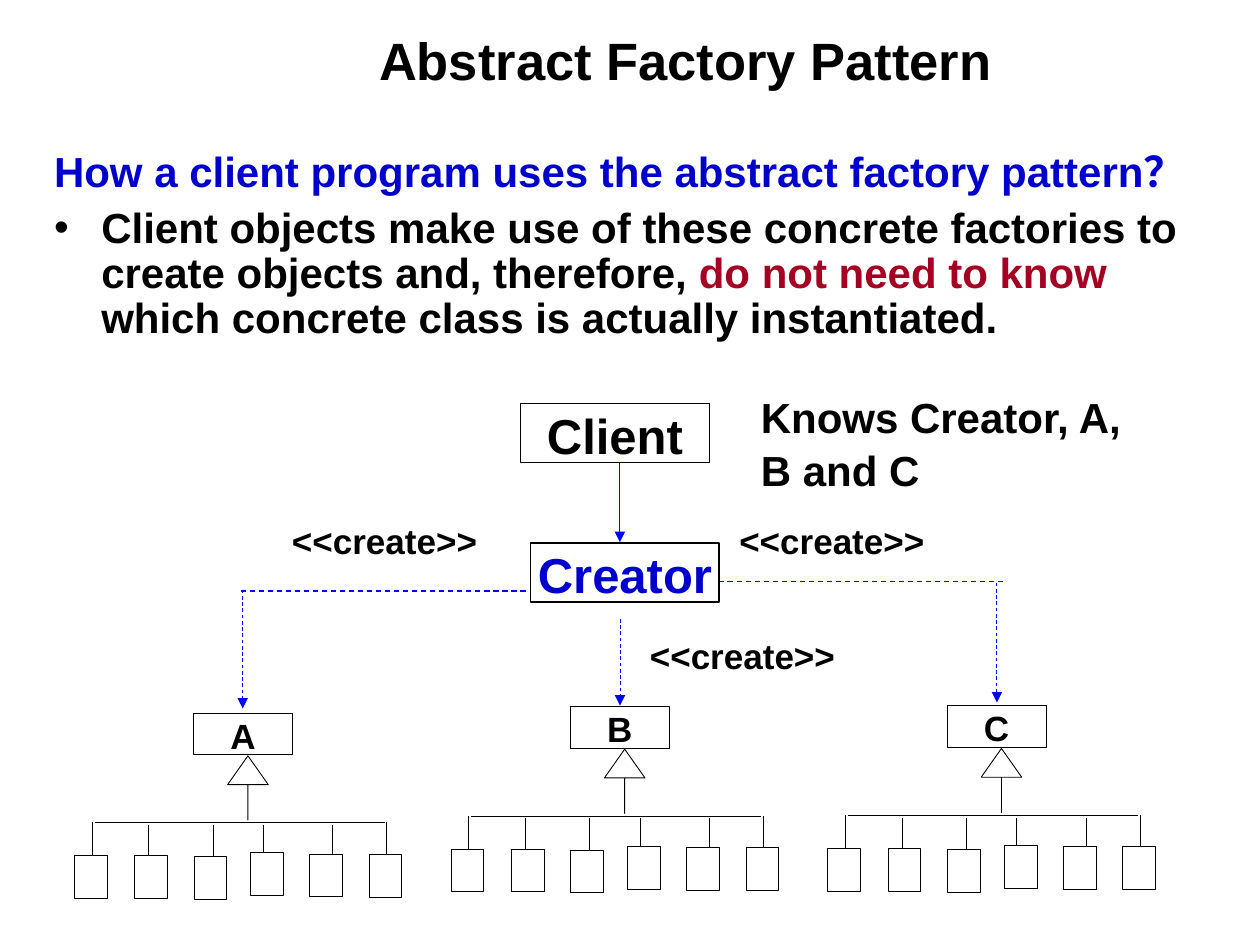
"""Build the Abstract Factory Pattern slide with its client, creator and product trees."""
from dataclasses import dataclass

from lxml import etree
from pptx import Presentation
from pptx import util as u
from pptx.dml.color import RGBColor
from pptx.enum import dml, shapes, text
from pptx.oxml.ns import qn


@dataclass(frozen=True)
class Theme:
    face: str = "Arial"
    black: str = "000000"
    white: str = "FFFFFF"
    blue: str = "0000CC"
    line: str = "0000FF"
    red: str = "A50021"
    title: int = 30
    name: int = 28
    body: int = 24
    label: int = 20


theme = Theme()
rgb = RGBColor.from_string
kind = shapes.MSO_SHAPE
left, mid = text.PP_ALIGN.LEFT, text.PP_ALIGN.CENTER

deck = Presentation()
deck.slide_width, deck.slide_height = u.Pt(720), u.Pt(540)
slide = deck.slides.add_slide(deck.slide_layouts[6])


def box(x, y, w, h, words="", size=theme.label, color=theme.black, line=0.5,
        form=kind.RECTANGLE, align=mid, inset=(0, 0), space=1.05):
    """Draw a white shape; each paragraph is a string or a list of coloured runs."""
    shape = slide.shapes.add_shape(form, u.Pt(x), u.Pt(y), u.Pt(w), u.Pt(h))
    shape.shadow.inherit = False
    shape.fill.solid()
    shape.fill.fore_color.rgb = rgb(theme.white)
    if line:
        shape.line.color.rgb = rgb(theme.black)
        shape.line.width = u.Pt(line)
    else:
        shape.line.fill.background()
    if words:
        frame = shape.text_frame
        frame.word_wrap = True
        frame.margin_left = frame.margin_right = u.Pt(inset[0])
        frame.margin_top = frame.margin_bottom = u.Pt(inset[1])
        frame.vertical_anchor = text.MSO_ANCHOR.MIDDLE if align == mid else text.MSO_ANCHOR.TOP
        frame.text = words
        for para in frame.paragraphs:
            para.alignment = align
            para.line_spacing = space
            for run in para.runs:
                run.font.name, run.font.size, run.font.bold = theme.face, u.Pt(size), True
                run.font.color.rgb = rgb(color)
    return shape


def link(x, y, x2, y2, color=theme.black, width=0.5, dash=False, head=False):
    """Draw a straight line, dashed or with an arrowhead on request."""
    wire = slide.shapes.add_connector(shapes.MSO_CONNECTOR.STRAIGHT,
                                      u.Pt(x), u.Pt(y), u.Pt(x2), u.Pt(y2))
    wire.line.color.rgb = rgb(color)
    wire.line.width = u.Pt(width)
    if dash:
        wire.line.dash_style = dml.MSO_LINE.DASH
    if head:
        etree.SubElement(wire.line._get_or_add_ln(), qn("a:tailEnd"), type="triangle")
    etree.SubElement(wire._element.spPr, qn("a:effectLst"))


pad = (7.2, 3.6)
box(144.7, 15.1, 493.9, 38.2, "Abstract Factory Pattern", theme.title,
    line=0, inset=pad, space=1)

body = box(23.8, 82.8, 676, 124.6, "How a client program uses the abstract factory pattern？",
           theme.body, theme.blue, line=0, align=left, inset=pad, space=0.9)
point = body.text_frame.add_paragraph()
point.alignment, point.line_spacing, point.space_before = left, 0.9, u.Pt(6)
for para in body.text_frame.paragraphs:
    prop = para._p.get_or_add_pPr()
    prop.set("marL", str(u.Pt(27)))
    prop.set("indent", str(u.Pt(-27)))
tint = etree.SubElement(prop, qn("a:buClr"))
etree.SubElement(tint, qn("a:srgbClr"), val=theme.black)
etree.SubElement(prop, qn("a:buFont"), typeface=theme.face)
etree.SubElement(prop, qn("a:buChar"), char="•")
for words, color in (
    ("Client objects make use of these concrete factories to create objects and, therefore, ",
     theme.black),
    ("do not need to know", theme.red),
    (" which concrete class is actually instantiated.", theme.black),
):
    run = point.add_run()
    run.text = words
    run.font.name, run.font.size, run.font.bold = theme.face, u.Pt(theme.body), True
    run.font.color.rgb = rgb(color)

stems = (52.6, 85, 121.7, 150.5, 190, 221)
leaves = ((42.5, 489), (77, 489), (110.9, 489.6), (143.3, 487.4), (177.1, 488), (211, 488.2))
for name, x, y in (("A", 0, 0), ("B", 215.3, -3.8), ("C", 430.6, -4.2)):
    box(x + 110.6, y + 407.5, 56.6, 23.9, name)
    link(x + 54, y + 470.2, x + 219.8, y + 470.2)
    arrow = box(x + 130.1, y + 431.9, 23.2, 36.7, form=kind.UP_ARROW)
    arrow.adjustments[0], arrow.adjustments[1] = 0, 0.71
    for stem in stems:
        top = y + (470 if stem in (stems[0], stems[-1]) else 471.4)
        link(x + stem, top, x + stem, top + 39.5)
    for leaf, top in leaves:
        box(x + leaf, y + top, 18.7, 24.5)

for x, y in ((159.8, 292.3), (415.4, 292.3), (364.3, 357.8)):
    box(x, y, 131.8, 31.7, "<<create>>", line=0, align=left, inset=pad)

for x, y, x2 in ((137.5, 337.8, 302.4), (405.4, 332.4, 575.3)):
    link(x, y, x2, y, theme.line, 0.75, dash=True)
for x, y, end in ((138.7, 337, 404.9), (354.3, 353.7, 403.2), (569.7, 333, 401.5)):
    link(x, y, x, end, theme.line, dash=True, head=True)

box(297.4, 230.6, 108, 33.8, "Client", theme.name, line=1)
box(303.1, 310.1, 108, 33.8, "Creator", theme.name, theme.blue, line=1)
link(354.2, 264.8, 354.2, 309.8, theme.line, head=True)
box(427.7, 218.9, 221, 64.8, "Knows Creator, A, B and C", theme.body,
    line=0, align=left, inset=pad)

deck.save("out.pptx")
